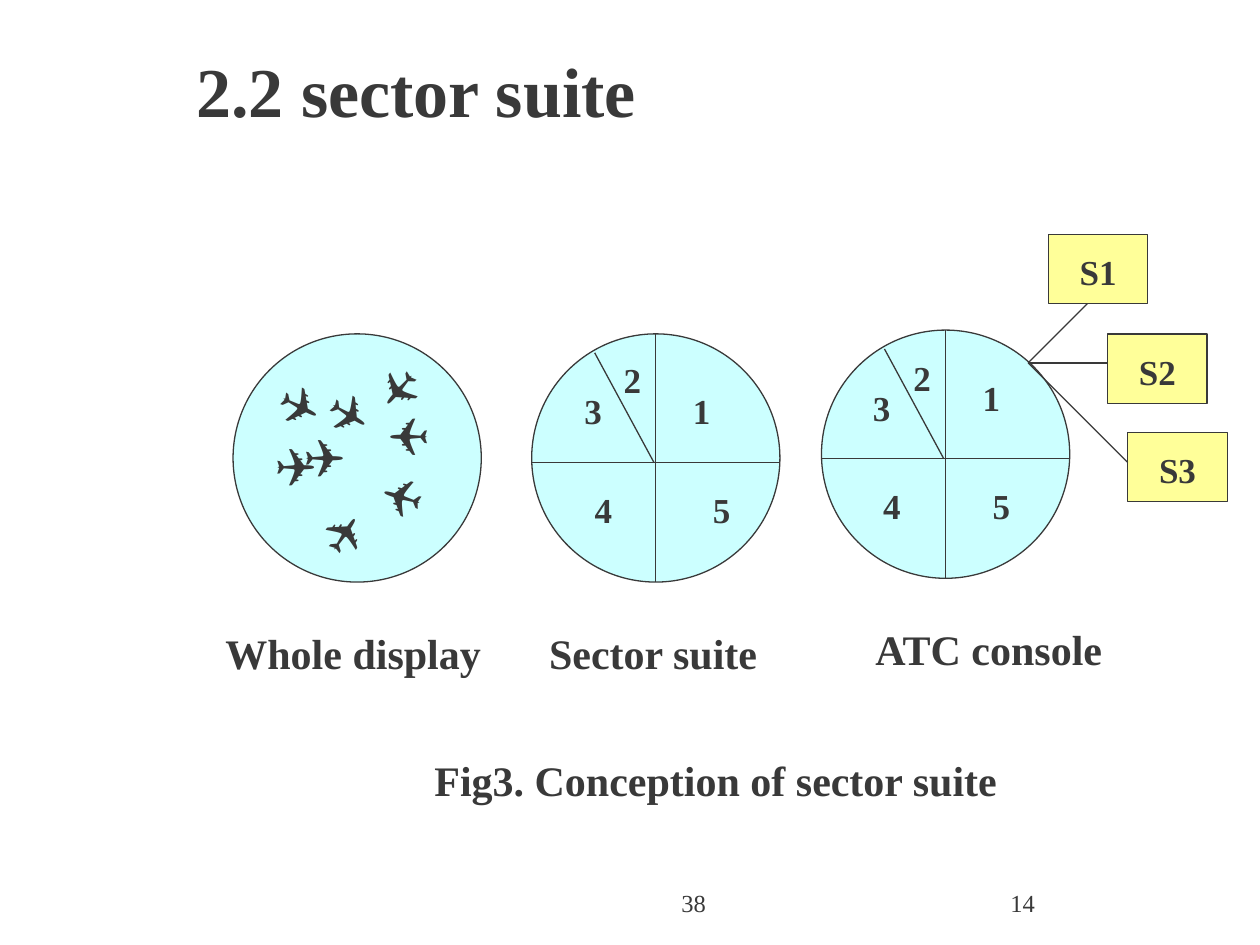
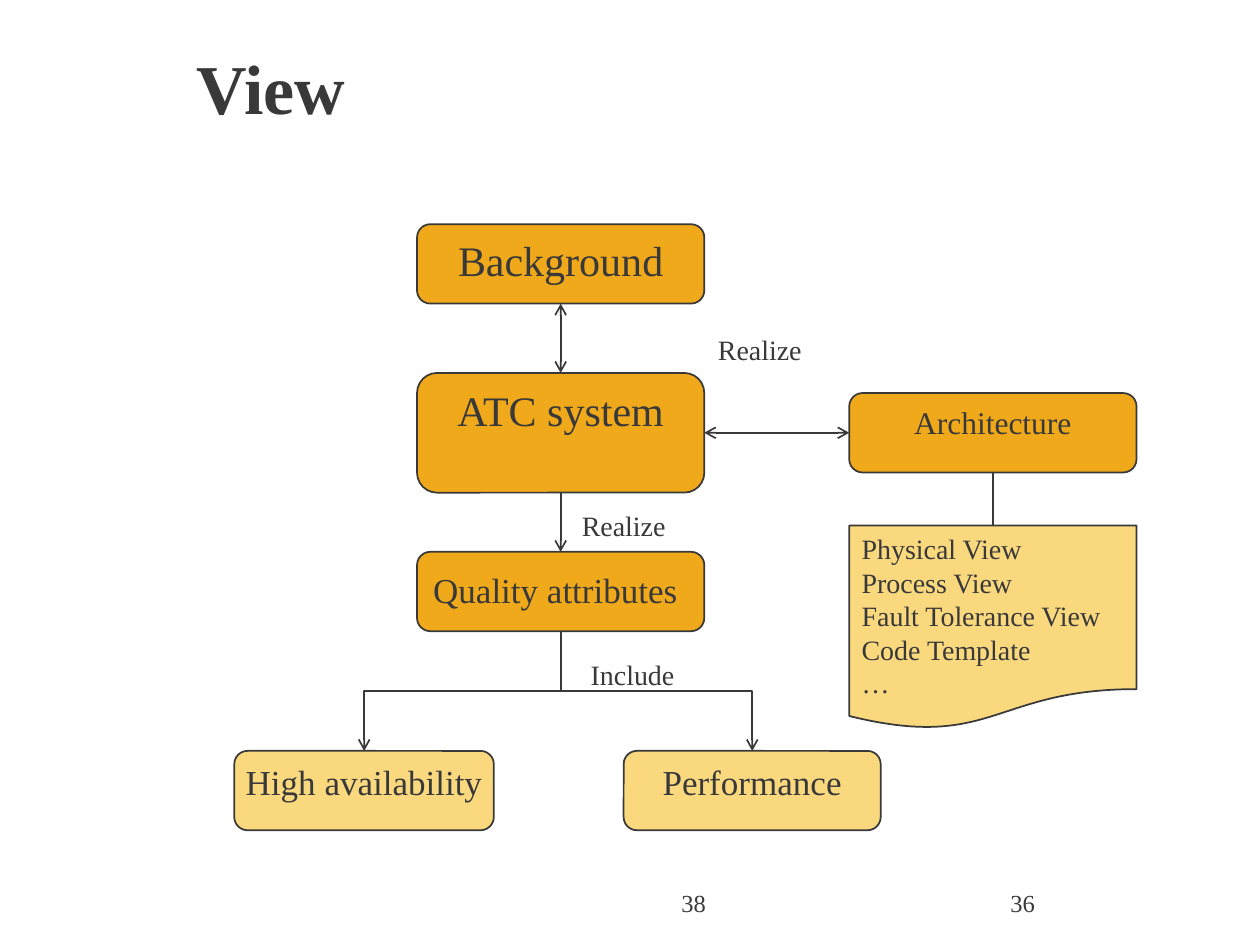
from lxml import etree
from pptx import Presentation
from pptx.dml.color import RGBColor
from pptx.enum.shapes import MSO_CONNECTOR, MSO_SHAPE
from pptx.enum.text import MSO_ANCHOR, PP_ALIGN
from pptx.oxml.ns import qn
from pptx.util import Inches, Pt

STRAIGHT, ELBOW = MSO_CONNECTOR.STRAIGHT, MSO_CONNECTOR.ELBOW
ELLIPSE, RECTANGLE = MSO_SHAPE.OVAL, MSO_SHAPE.RECTANGLE
ROUNDED, DOCUMENT = MSO_SHAPE.ROUNDED_RECTANGLE, MSO_SHAPE.FLOWCHART_DOCUMENT
TOP_ANCHOR, MIDDLE = MSO_ANCHOR.TOP, MSO_ANCHOR.MIDDLE
LEFT_ALIGN, CENTER = PP_ALIGN.LEFT, PP_ALIGN.CENTER
TOP, LEFT, BOTTOM, RIGHT = range(4)

INK = RGBColor(0x39, 0x39, 0x39)
RADAR = RGBColor(0xCC, 0xFF, 0xFF)
STATION = RGBColor(0xFF, 0xFF, 0x99)
AMBER = RGBColor(0xF0, 0xA9, 0x1A)
SAND = RGBColor(0xF9, 0xD8, 0x7E)
SERIF, SANS = "Times New Roman", "Arial"
THIN, MEDIUM = 0.75, 1

TOTAL = "38"
DIAMETER = 1.97
EQUATOR = 1.02
SLANT = ((0.97, EQUATOR), (0.5, 0.15))

FIGURE = "Fig3. Conception of sector suite"
DISPLAYS = [
    ("Whole display", (1.85, 2.65), (-0.16, 2.28), (2.28, 0.5), {}),
    ("Sector suite", (4.22, 2.65), (0.04, 2.28), (1.89, 0.5),
     {"1": (1.18, 0.39), "2": (0.63, 0.15), "3": (0.32, 0.39),
      "4": (0.4, 1.18), "5": (1.34, 1.18)}),
    ("ATC console", (6.52, 2.62), (0.33, 2.28), (2.13, 0.5),
     {"1": (1.18, 0.32), "2": (0.63, 0.16), "3": (0.31, 0.4),
      "4": (0.39, 1.18), "5": (1.26, 1.18)}),
]
PLANES = [
    (2.32, 3.36, 0.55, 0), (2.53, 3.03, 0.55, 31.7),
    (3.11, 3.25, 0.39, 180), (2.45, 3.96, 0.55, 303.6),
    (2.89, 3.73, 0.55, 196.7), (2.91, 2.88, 0.55, 130.9),
    (2.09, 3.43, 0.55, 0), (2.14, 2.96, 0.55, 27.1),
]
FAN_ORIGIN = (8.16, 2.88)
STATIONS = [
    ("S1", (8.32, 1.86), (8.63, 2.41)),
    ("S2", (8.79, 2.65), (8.79, 2.88)),
    ("S3", (8.95, 3.43), (8.95, 3.67)),
]

TOPICS = {
    "Background": ((3.31, 1.78, 2.28, 0.63), AMBER, 24),
    "ATC system": ((3.31, 2.96, 2.28, 0.95), AMBER, 24),
    "Quality attributes": ((3.31, 4.38, 2.28, 0.63), AMBER, 20),
    "Architecture": ((6.74, 3.12, 2.28, 0.63), AMBER, 18),
    "High availability": ((1.86, 5.96, 2.06, 0.63), SAND, 20),
    "Performance": ((4.95, 5.96, 2.04, 0.63), SAND, 20),
}
VIEWS = ["Physical View", "Process View", "Fault Tolerance View", "Code Template", "…"]
RELATIONS = [
    ("Background", BOTTOM, "ATC system", TOP, ("headEnd", "tailEnd")),
    ("ATC system", BOTTOM, "Quality attributes", TOP, ("tailEnd",)),
    ("ATC system", RIGHT, "Architecture", LEFT, ("headEnd", "tailEnd")),
    ("Architecture", BOTTOM, "Views", TOP, ()),
]
INCLUDED = ["High availability", "Performance"]
RELATION_LABELS = [("Realize", 5.6, 2.59), ("Realize", 4.52, 3.99), ("Include", 4.59, 5.17)]


def write(shape, lines, size, bold=False, align=LEFT_ALIGN, anchor=TOP_ANCHOR, wrap=True, font=SERIF):
    frame = shape.text_frame
    frame.word_wrap = wrap
    frame.vertical_anchor = anchor
    for index, line in enumerate(lines):
        paragraph = frame.add_paragraph() if index else frame.paragraphs[0]
        paragraph.alignment = align
        add_run(paragraph, line, size, bold, font)


def add_run(paragraph, words, size, bold=False, font=SERIF):
    run = paragraph.add_run()
    run.text = words
    run.font.size = Pt(size)
    run.font.bold = bold
    run.font.name = font
    run.font.color.rgb = INK


def add_text(slide, words, box, size, **style):
    label = slide.shapes.add_textbox(*map(Inches, box))
    write(label, [words], size, **style)
    return label


def add_block(slide, outline, box, fill, weight):
    block = slide.shapes.add_shape(outline, *map(Inches, box))
    block.shadow.inherit = False
    block.fill.solid()
    block.fill.fore_color.rgb = fill
    block.line.color.rgb = INK
    block.line.width = Pt(weight)
    return block


def add_line(slide, start, end, weight, arrows=(), route=STRAIGHT):
    line = slide.shapes.add_connector(route, *map(Inches, (*start, *end)))
    line.line.color.rgb = INK
    line.line.width = Pt(weight)
    properties = line._element.spPr
    for end_name in arrows:
        etree.SubElement(properties.find(qn("a:ln")), qn(f"a:{end_name}"), type="arrow")
    etree.SubElement(properties, qn("a:effectLst"))
    return line


def add_branch(slide, start, end):
    drop, reach = end[1] - start[1], end[0] - start[0]
    middle_x, middle_y = (start[0] + end[0]) / 2, (start[1] + end[1]) / 2
    side = 1 if reach < 0 else -1
    half_drop, half_reach = side * drop / 2, abs(reach) / 2
    branch = add_line(slide, (middle_x - half_drop, middle_y - half_reach),
                      (middle_x + half_drop, middle_y + half_reach), MEDIUM, ("tailEnd",), ELBOW)
    quarter_turn = 90 if reach < 0 else 270
    branch._element.spPr.find(qn("a:xfrm")).set("rot", str(quarter_turn * 60000))


def new_slide(deck, title, title_box, number):
    slide = deck.slides.add_slide(deck.slide_layouts[6])
    add_text(slide, title, title_box, 40, bold=True, anchor=MIDDLE)
    add_text(slide, TOTAL, (3.92, 7, 3.17, 0.5), 14, align=CENTER)
    add_text(slide, number, (7.92, 7, 2.08, 0.5), 14)
    return slide


def build_sector_suite(deck):
    slide = new_slide(deck, "2.2 sector suite", (1.46, 0.05, 8.5, 1.32), "14")
    add_text(slide, FIGURE, (2.02, 5.94, 7.32, 0.69), 24, bold=True, align=CENTER)

    for name, (x, y), (name_x, name_y), name_size, sectors in DISPLAYS:
        add_block(slide, ELLIPSE, (x, y, DIAMETER, DIAMETER), RADAR, THIN)
        add_text(slide, name, (x + name_x, y + name_y, *name_size), 24, bold=True)
        if sectors:
            radius = DIAMETER / 2
            borders = [((0, EQUATOR), (DIAMETER, EQUATOR)), ((radius, 0), (radius, DIAMETER)), SLANT]
            for (x1, y1), (x2, y2) in borders:
                add_line(slide, (x + x1, y + y1), (x + x2, y + y2), THIN)
        for sector, (dx, dy) in sectors.items():
            add_text(slide, sector, (x + dx, y + dy, 0.31, 0.44), 20, bold=True)

    for x, y, width, heading in PLANES:
        plane = add_text(slide, "✈", (x, y, width, 0.5), 24, bold=True, font=SANS)
        plane.rotation = heading

    for station, (x, y), fan_end in STATIONS:
        add_block(slide, RECTANGLE, (x, y, 0.79, 0.55), STATION, THIN)
        add_text(slide, station, (x + 0.15, y + 0.08, 0.55, 0.44), 20, bold=True)
        add_line(slide, FAN_ORIGIN, fan_end, THIN)


def build_view(deck):
    slide = new_slide(deck, "View", (1.46, -0.03, 8.15, 1.44), "36")
    blocks = {}
    for topic, (box, fill, size) in TOPICS.items():
        blocks[topic] = add_block(slide, ROUNDED, box, fill, MEDIUM)
        write(blocks[topic], [topic], size, align=CENTER, wrap=False)
    add_run(blocks["Quality attributes"].text_frame.paragraphs[0], " ", 24)

    blocks["Views"] = add_block(slide, DOCUMENT, (6.74, 4.17, 2.28, 1.62), SAND, MEDIUM)
    write(blocks["Views"], VIEWS, 16)

    for source, source_side, target, target_side, arrows in RELATIONS:
        relation = add_line(slide, (0, 0), (1, 1), MEDIUM, arrows)
        relation.begin_connect(blocks[source], source_side)
        relation.end_connect(blocks[target], target_side)

    x, y, width, height = TOPICS["Quality attributes"][0]
    for topic in INCLUDED:
        topic_x, topic_y, topic_width, _ = TOPICS[topic][0]
        add_branch(slide, (x + width / 2, y + height), (topic_x + topic_width / 2, topic_y))

    for relation_name, x, y in RELATION_LABELS:
        add_text(slide, relation_name, (x, y, 0.9, 0.37), 16)


def main():
    deck = Presentation()
    deck.slide_width, deck.slide_height = Inches(10), Inches(7.5)
    build_sector_suite(deck)
    build_view(deck)
    deck.save("out.pptx")


if __name__ == "__main__":
    main()
